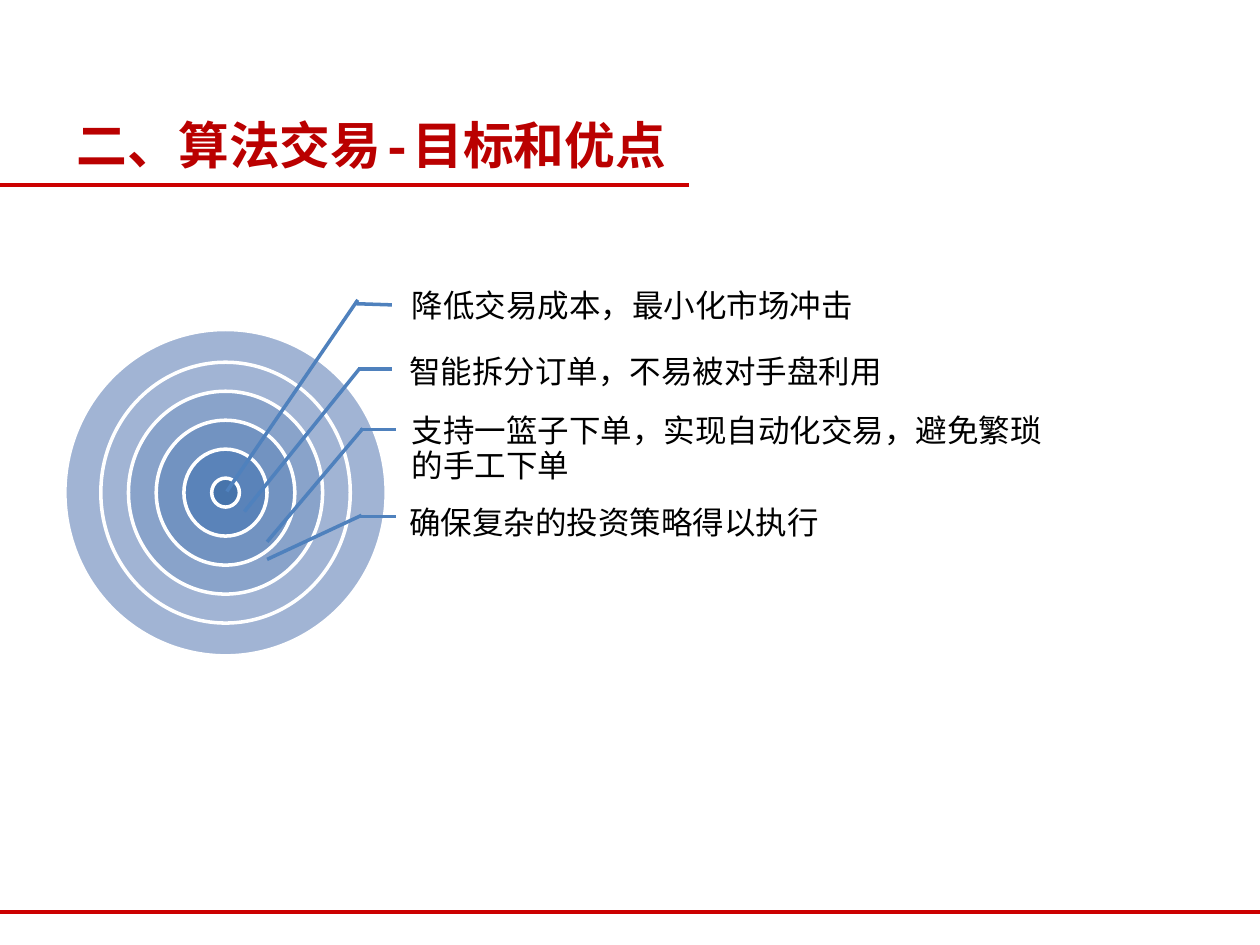
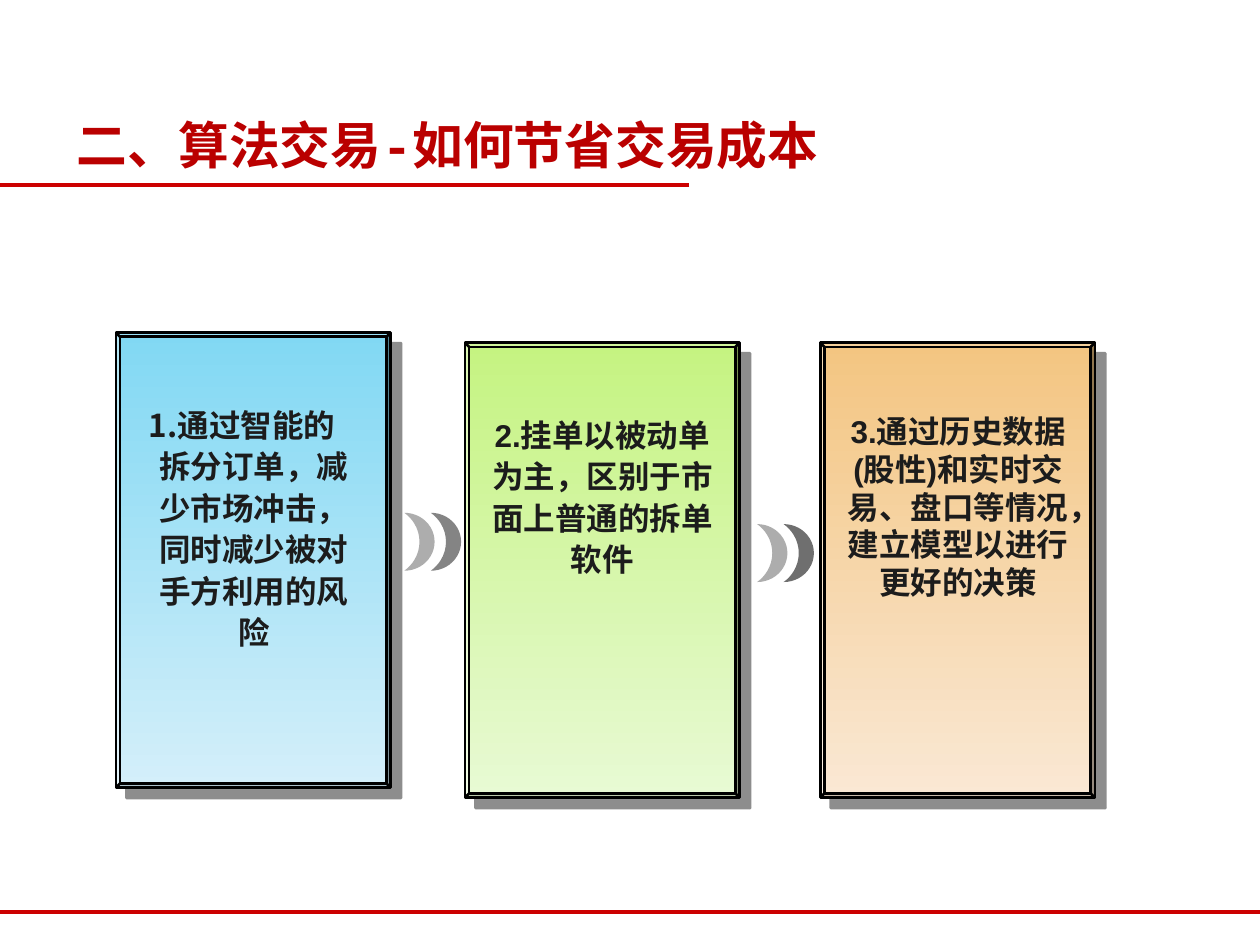
from lxml.etree import SubElement
from pptx import Presentation
from pptx.dml.color import RGBColor
from pptx.enum.shapes import MSO_CONNECTOR, MSO_SHAPE
from pptx.enum.text import MSO_ANCHOR, MSO_AUTO_SIZE, PP_ALIGN
from pptx.oxml.ns import qn
from pptx.util import Inches, Pt

COLORS = {
    "title": "BA0000", "rule": "CC0000", "leader": "4F81BD",
    "white": "FFFFFF", "black": "000000", "dark": "1C1C1C", "moon": "333333",
    "ring_1": "4774AB", "ring_2": "5A83B9", "ring_3": "7293C1",
    "ring_4": "89A3CA", "ring_5": "A1B4D4",
    "blue_top": "81D8F3", "blue_bottom": "D4EFFA",
    "green_top": "C5F381", "green_bottom": "E8FAD4",
    "orange_top": "F3C581", "orange_bottom": "FAE8D4",
}
TITLE_FONT, BODY_FONT, PANEL_FONT = "Courier New", "Noto Sans CJK SC", "Arial"


def rgb(name):
    return RGBColor.from_string(COLORS[name])


class Deck:
    """Holds the presentation, its style and the current slide."""

    def __init__(self):
        self.presentation = Presentation()
        self.presentation.slide_width = Inches(10)
        self.presentation.slide_height = Inches(7.5)
        self.slide = None

    def new_slide(self, title):
        layout = self.presentation.slide_layouts[5]
        self.slide = self.presentation.slides.add_slide(layout)
        self.line((10, 7.24), (0, 7.24), "rule", 2.25)
        self.line((5.47, 1.47), (0, 1.47), "rule", 2.25)
        placeholder = self.slide.shapes.title
        placeholder.left, placeholder.top = Inches(0.51), Inches(0.91)
        placeholder.width, placeholder.height = Inches(9.02), Inches(0.55)
        frame = placeholder.text_frame
        frame.vertical_anchor = MSO_ANCHOR.TOP
        frame.auto_size = MSO_AUTO_SIZE.NONE
        self.set_text(frame, title, TITLE_FONT, 29, "title", bold=True, spacing=0.9)

    def set_text(self, frame, text, font, size, color, bold=False,
                 align=PP_ALIGN.LEFT, spacing=1.0):
        frame.text = text
        frame.word_wrap = True
        paragraph = frame.paragraphs[0]
        paragraph.alignment = align
        paragraph.line_spacing = spacing
        for run in paragraph.runs:
            run.font.name = font
            run.font.size = Pt(size)
            run.font.bold = bold
            run.font.color.rgb = rgb(color)
            east_asian = SubElement(run.font._element, qn("a:ea"))
            east_asian.set("typeface", BODY_FONT)
        return paragraph

    def line(self, start, end, color, width):
        connector = self.slide.shapes.add_connector(
            MSO_CONNECTOR.STRAIGHT, *map(Inches, start + end))
        connector.line.color.rgb = rgb(color)
        connector.line.width = Pt(width)
        SubElement(connector._element.spPr, qn("a:effectLst"))

    def shape(self, kind, left, top, width, height):
        shape = self.slide.shapes.add_shape(
            kind, *map(Inches, (left, top, width, height)))
        shape.shadow.inherit = False
        return shape

    def ring(self, center, width, height, color):
        ring = self.shape(MSO_SHAPE.OVAL, center[0] - width / 2,
                          center[1] - height / 2, width, height)
        ring.fill.solid()
        ring.fill.fore_color.rgb = rgb(color)
        ring.line.color.rgb = rgb("white")
        ring.line.width = Pt(2)

    def text_box(self, left, top, width, height):
        box = self.slide.shapes.add_textbox(
            *map(Inches, (left, top, width, height)))
        return box.text_frame

    def goal(self, left, top, text):
        frame = self.text_box(left, top, 5.24, 0.34)
        frame.vertical_anchor = MSO_ANCHOR.MIDDLE
        frame.margin_left = Inches(0.08)
        frame.margin_right = frame.margin_top = frame.margin_bottom = Inches(0.01)
        paragraph = self.set_text(frame, text, BODY_FONT, 18, "black", spacing=0.9)
        paragraph.space_after = Pt(4.2)

    def panel(self, left, top, hue):
        """Bevelled card with a vertical gradient and a hard drop shadow."""
        panel = self.shape(MSO_SHAPE.BEVEL, left, top, 2.18, 3.61)
        panel.adjustments[0] = 0.015
        panel.fill.gradient()
        panel.fill.gradient_angle = 270
        for stop, end, position in zip(panel.fill.gradient_stops,
                                       ("top", "bottom"), (0, 1)):
            stop.color.rgb = rgb(f"{hue}_{end}")
            stop.position = position
        panel.line.color.rgb = rgb("black")
        panel.line.width = Pt(1.5)
        effects = panel._element.spPr.find(qn("a:effectLst"))
        shadow = SubElement(effects, qn("a:outerShdw"), blurRad="0",
                            dist=str(Pt(8.5)), dir="2700000",
                            algn="ctr", rotWithShape="0")
        color = SubElement(shadow, qn("a:srgbClr"), val=COLORS["dark"])
        SubElement(color, qn("a:alpha"), val="50000")

    def panel_text(self, left, top, width, height, text, spacing, numbered):
        frame = self.text_box(left, top, width, height)
        frame.auto_size = MSO_AUTO_SIZE.SHAPE_TO_FIT_TEXT
        paragraph = self.set_text(frame, text, PANEL_FONT, 18, "dark", bold=True,
                                  align=PP_ALIGN.CENTER, spacing=spacing)
        if numbered:
            properties = paragraph._p.get_or_add_pPr()
            properties.set("marL", str(Inches(0.19)))
            properties.set("indent", str(-Inches(0.19)))
            SubElement(properties, qn("a:buFont"), typeface=PANEL_FONT)
            SubElement(properties, qn("a:buAutoNum"), type="arabicPeriod")

    def moon(self, left, top, opacity):
        moon = self.shape(MSO_SHAPE.MOON, left, top, 0.24, 0.46)
        moon.adjustments[0] = 0.5
        moon.fill.solid()
        moon.fill.fore_color.rgb = rgb("moon")
        moon.line.fill.background()
        properties = moon._element.spPr
        properties.find(qn("a:xfrm")).set("flipH", "1")
        color = properties.find(qn("a:solidFill")).find(qn("a:srgbClr"))
        SubElement(color, qn("a:alpha"), val=str(opacity * 1000))


def build_goals(deck):
    deck.new_slide("二、算法交易-目标和优点")
    deck.ring((1.79, 3.91), 2.55, 2.59, "ring_5")
    for step in range(4, -1, -1):
        deck.ring((1.79, 3.91), 0.22 + 0.44 * step, 0.23 + 0.46 * step,
                  f"ring_{step + 1}")

    # Text position, text, horizontal leader, slanted leader
    goals = [
        (3.19, 2.27, "降低交易成本，最小化市场冲击",
         ((2.81, 2.41), (3.11, 2.42)), ((2.84, 2.38), (1.8, 3.9))),
        (3.17, 2.79, "智能拆分订单，不易被对手盘利用",
         ((2.84, 2.93), (3.11, 2.93)), ((2.85, 2.93), (1.94, 4.06))),
        (3.19, 3.4, "支持一篮子下单，实现自动化交易，避免繁琐的手工下单",
         ((2.86, 3.41), (3.14, 3.41)), ((2.88, 3.4), (2.12, 4.3))),
        (3.17, 3.99, "确保复杂的投资策略得以执行",
         ((2.86, 4.1), (3.14, 4.1)), ((2.87, 4.09), (2.12, 4.44))),
    ]
    for left, top, text, *leaders in goals:
        deck.goal(left, top, text)
        for start, end in leaders:
            deck.line(start, end, "leader", 2)


def build_cost_saving(deck):
    deck.new_slide("二、算法交易-如何节省交易成本")
    for left, top, hue in ((0.92, 2.64, "blue"), (3.69, 2.72, "green"),
                           (6.51, 2.72, "orange")):
        deck.panel(left, top, hue)

    texts = [
        (0.97, 3.14, 1.9, 2.1,
         "通过智能的拆分订单，减少市场冲击，同时减少被对手方利用的风险", 1.1, True),
        (3.72, 3.22, 2.12, 1.43,
         "2.挂单以被动单为主，区别于市面上普通的拆单软件", 1.1, False),
        (6.58, 3.22, 2.05, 1.62,
         "3.通过历史数据(股性)和实时交易、盘口等情况，建立模型以进行更好的决策", 1.0, False),
    ]
    for text in texts:
        deck.panel_text(*text)

    for left, top, opacities in ((3.21, 4.07, (40, 60)), (6.01, 4.16, (40, 70))):
        for index, opacity in enumerate(opacities):
            deck.moon(left + 0.21 * index, top, opacity)


def main():
    deck = Deck()
    build_goals(deck)
    build_cost_saving(deck)
    deck.presentation.save("out.pptx")


if __name__ == "__main__":
    main()
